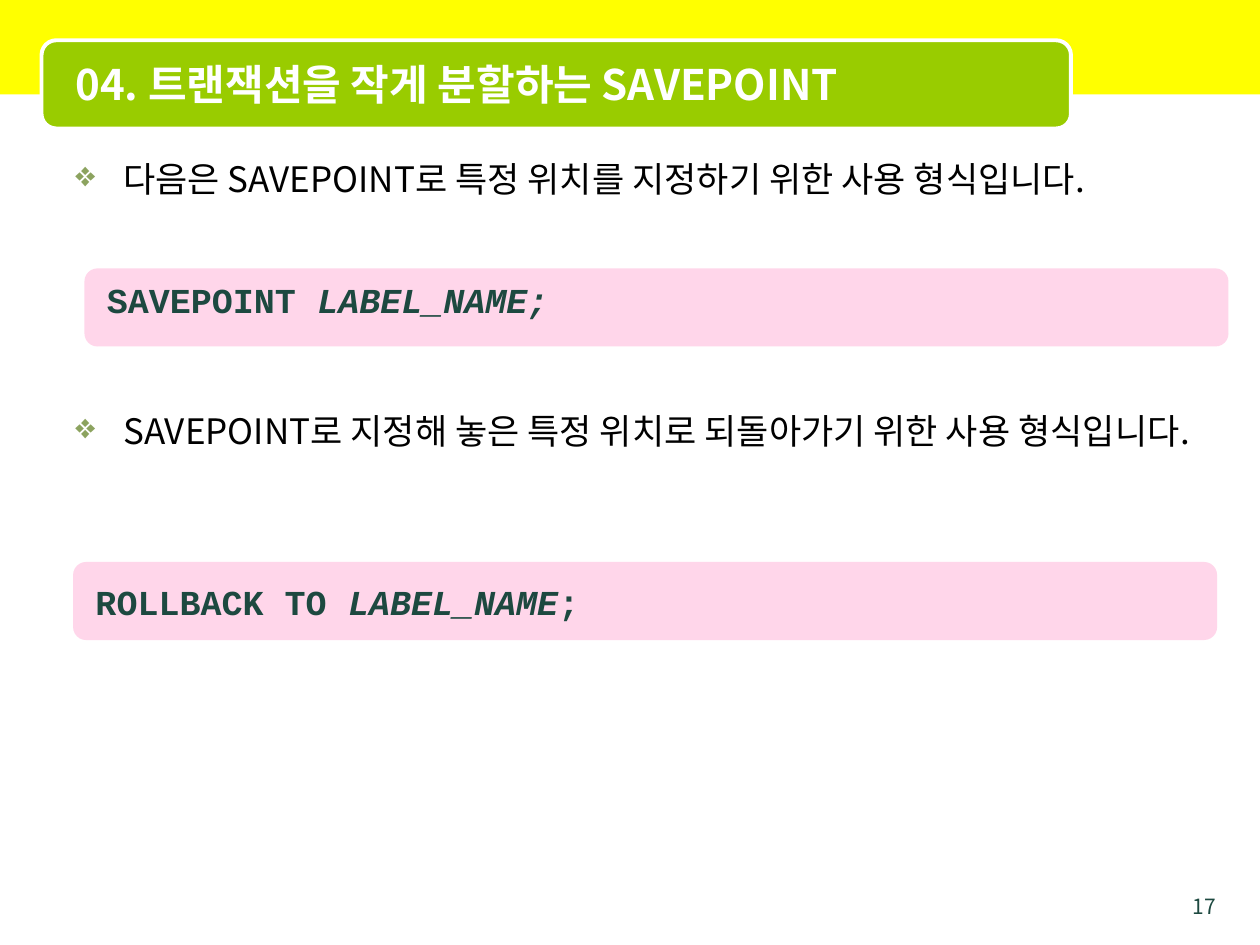
from dataclasses import dataclass
from lxml.etree import SubElement
from pptx import Presentation
from pptx.dml.color import RGBColor
from pptx.enum.shapes import MSO_SHAPE as Shape
from pptx.enum.text import MSO_ANCHOR as Anchor, PP_ALIGN as Align
from pptx.oxml import parse_xml
from pptx.oxml.ns import nsdecls, qn
from pptx.util import Inches, Pt


@dataclass(frozen=True)
class Theme:
    band: str = "FFFF00"
    banner: str = "99CC00"
    white: str = "FFFFFF"
    code_fill: str = "FF99CC"
    code_opacity: int = 40
    dark: str = "1D4940"
    black: str = "000000"
    bullet: str = "8CA35F"
    sans: str = "Noto Sans CJK KR"
    mono: str = "Courier New"
    title_size: int = 24
    body_size: int = 20
    number_size: int = 12
    line_pitch: int = 24
    corner: float = 0.167


THEME = Theme()


def add_panel(slide, kind, box, fill, opacity=100, outline=None):
    shape = slide.shapes.add_shape(kind, *map(Inches, box))
    shape.shadow.inherit = False
    if kind == Shape.ROUNDED_RECTANGLE:
        shape.adjustments[0] = THEME.corner
    shape.fill.solid()
    shape.fill.fore_color.rgb = RGBColor.from_string(fill)
    if opacity < 100:
        color = shape.fill._xPr.find(qn("a:solidFill"))[0]
        SubElement(color, qn("a:alpha"), val=str(opacity * 1000))
    if outline:
        shape.line.color.rgb = RGBColor.from_string(outline)
        shape.line.width = Pt(2.24)
    else:
        shape.line.fill.background()


def add_text_frame(slide, box, anchor=Anchor.TOP):
    frame = slide.shapes.add_textbox(*map(Inches, box)).text_frame
    frame.word_wrap = True
    frame.vertical_anchor = anchor
    return frame


def add_run(paragraph, text, face, size, color, **styles):
    run = paragraph.add_run()
    run.text = text
    for name, value in {"name": face, "size": Pt(size), **styles}.items():
        setattr(run.font, name, value)
    run.font.color.rgb = RGBColor.from_string(color)
    SubElement(run._r.get_or_add_rPr(), qn("a:ea"), typeface=face)


def add_bullet(paragraph):
    properties = paragraph._p.get_or_add_pPr()
    properties.set("marL", str(Inches(0.38)))
    properties.set("indent", str(-Inches(0.38)))
    for markup in (
        f'<a:buClr {nsdecls("a")}><a:srgbClr val="{THEME.bullet}"/></a:buClr>',
        f'<a:buChar {nsdecls("a")} char="❖"/>',
    ):
        properties.append(parse_xml(markup))


def add_header(slide, box, title):
    left, top, width, height = box
    add_panel(slide, Shape.RECTANGLE, box, THEME.band)
    add_panel(slide, Shape.ROUNDED_RECTANGLE, (left + 0.33, top + 0.32, 8.17, 0.7),
              THEME.banner, outline=THEME.white)
    frame = add_text_frame(slide, (left + 0.5, top + 0.35, 7.92, 0.62), Anchor.MIDDLE)
    add_run(frame.paragraphs[0], title, THEME.sans, THEME.title_size, THEME.white, bold=True)


def add_body(slide, box, sentences, gap):
    frame = add_text_frame(slide, box)
    for index, sentence in enumerate(sentences):
        paragraph = frame.add_paragraph() if index else frame.paragraphs[0]
        formats = {"line_spacing": Pt(THEME.line_pitch), "space_before": Pt(gap if index else 0)}
        for name, value in formats.items():
            setattr(paragraph, name, value)
        add_bullet(paragraph)
        add_run(paragraph, sentence, THEME.sans, THEME.body_size, THEME.black)


def add_code(slide, box, text_offset, parts):
    left, top, width, height = box
    add_panel(slide, Shape.ROUNDED_RECTANGLE, box, THEME.code_fill, THEME.code_opacity)
    frame = add_text_frame(slide, (left + 0.08, top + text_offset, 9, 0.44))
    for text, italic in parts:
        add_run(frame.paragraphs[0], text, THEME.mono, THEME.body_size, THEME.dark,
                bold=True, italic=italic)


def add_page_number(slide, box, number):
    paragraph = add_text_frame(slide, box).paragraphs[0]
    paragraph.alignment = Align.RIGHT
    add_run(paragraph, str(number), THEME.sans, THEME.number_size, THEME.dark)


def build():
    presentation = Presentation()
    presentation.slide_width, presentation.slide_height = Inches(10), Inches(7.5)
    slide = presentation.slides.add_slide(presentation.slide_layouts[6])
    add_header(slide, (0, 0, 10, 0.75), "04. 트랜잭션을 작게 분할하는 SAVEPOINT")
    add_page_number(slide, (9.25, 7.04, 0.5, 0.21), 17)
    add_body(slide, (0.5, 1.2, 9, 6.1), (
        "다음은 SAVEPOINT로 특정 위치를 지정하기 위한 사용 형식입니다.",
        "SAVEPOINT로 지정해 놓은 특정 위치로 되돌아가기 위한 사용 형식입니다.",
    ), gap=120)
    add_code(slide, (0.67, 2.13, 9.08, 0.62), 0.03,
             (("SAVEPOINT ", False), ("LABEL_NAME;", True)))
    add_code(slide, (0.58, 4.46, 9.08, 0.62), 0.1,
             (("ROLLBACK TO ", False), ("LABEL_NAME", True), (";", False)))
    presentation.save("out.pptx")


build()
